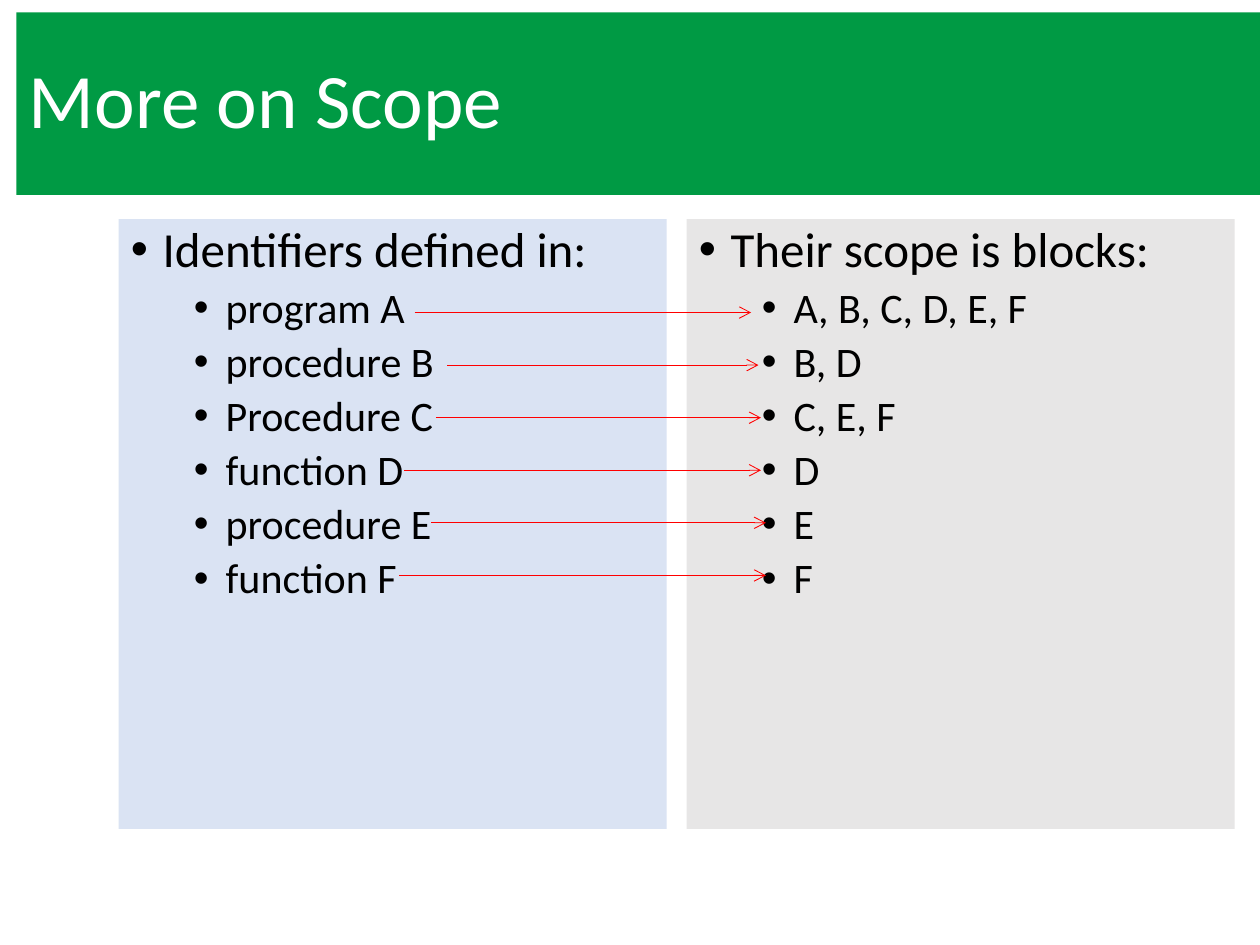
from dataclasses import dataclass
from typing import Any

from lxml.etree import SubElement
from pptx import Presentation
from pptx.dml.color import RGBColor
from pptx.enum.shapes import MSO_CONNECTOR
from pptx.enum.text import MSO_ANCHOR, MSO_AUTO_SIZE, PP_ALIGN
from pptx.oxml.ns import qn
from pptx.util import Cm, Pt


@dataclass(frozen=True)
class Theme:
    font: str = "Calibri"
    green: str = "009A44"
    blue: str = "DAE3F3"
    gray: str = "E7E6E6"
    red: str = "FF0000"
    black: str = "000000"
    white: str = "FFFFFF"
    title: int = 44
    head: int = 28
    item: int = 24
    line: float = 0.5


@dataclass(frozen=True)
class Panel:
    left: float
    fill: str
    head: str
    items: tuple[str, ...]


@dataclass(frozen=True)
class Arrow:
    start: float
    end: float


THEME = Theme()
PANELS = (
    Panel(2.39, THEME.blue, "Identifiers defined in:",
          ("program A", "procedure B", "Procedure C",
           "function D", "procedure E", "function F")),
    Panel(13.84, THEME.gray, "Their scope is blocks:",
          ("A, B, C, D, E, F", "B, D", "C, E, F", "D", "E", "F")),
)
ARROWS = (
    Arrow(8.36, 15.14), Arrow(9.02, 15.29), Arrow(8.79, 15.34),
    Arrow(8.15, 15.34), Arrow(8.69, 15.44), Arrow(8.05, 15.44),
)
TOP, STEP = 6.3, 1.06


def apply(target: Any, values: dict[str, Any]) -> None:
    for name, value in values.items():
        setattr(target, name, value)


def place(shape: Any, left: float, top: float, width: float, height: float) -> None:
    apply(shape, {"left": Cm(left), "top": Cm(top),
                  "width": Cm(width), "height": Cm(height)})


def paint(shape: Any, color: str) -> None:
    shape.fill.solid()
    shape.fill.fore_color.rgb = RGBColor.from_string(color)


def write(para: Any, text: str, size: int, color: str) -> None:
    run = para.add_run()
    run.text = text
    apply(run.font, {"name": THEME.font, "size": Pt(size)})
    run.font.color.rgb = RGBColor.from_string(color)


def add_point(para: Any, text: str, level: int) -> None:
    size, space, margin = ((THEME.head, 10, 0.64), (THEME.item, 5, 1.91))[level]
    apply(para, {"level": level, "line_spacing": 0.9, "space_before": Pt(space)})
    write(para, text, size, THEME.black)
    props = para._p.get_or_add_pPr()
    props.set("marL", str(Cm(margin)))
    props.set("indent", str(-Cm(0.64)))
    SubElement(props, qn("a:buFont"), typeface="Arial")
    SubElement(props, qn("a:buChar"), char="•")


def add_title(slide: Any, text: str) -> None:
    title = slide.shapes.title
    place(title, 0.33, 0.25, 25.07, 3.68)
    paint(title, THEME.green)
    frame = title.text_frame
    apply(frame, {"vertical_anchor": MSO_ANCHOR.MIDDLE, "word_wrap": True,
                  "auto_size": MSO_AUTO_SIZE.NONE})
    para = frame.paragraphs[0]
    apply(para, {"alignment": PP_ALIGN.LEFT, "line_spacing": 0.9})
    write(para, text, THEME.title, THEME.white)


def add_panel(slide: Any, panel: Panel) -> None:
    box = slide.shapes.add_textbox(0, 0, 0, 0)
    place(box, panel.left, 4.42, 11.05, 12.29)
    paint(box, panel.fill)
    frame = box.text_frame
    apply(frame, {"word_wrap": True, "auto_size": MSO_AUTO_SIZE.NONE})
    add_point(frame.paragraphs[0], panel.head, 0)
    for item in panel.items:
        add_point(frame.add_paragraph(), item, 1)


def add_arrow(slide: Any, arrow: Arrow, height: float) -> None:
    link = slide.shapes.add_connector(
        MSO_CONNECTOR.STRAIGHT,
        Cm(arrow.start), Cm(height), Cm(arrow.end), Cm(height))
    link.line.width = Pt(THEME.line)
    link.line.color.rgb = RGBColor.from_string(THEME.red)
    SubElement(link.line._get_or_add_ln(), qn("a:tailEnd"), type="arrow")
    SubElement(link._element.spPr, qn("a:effectLst"))


def main() -> None:
    deck = Presentation()
    apply(deck, {"slide_width": Cm(25.4), "slide_height": Cm(19.05)})
    slide = deck.slides.add_slide(deck.slide_layouts[5])
    add_title(slide, "More on Scope")
    for panel in PANELS:
        add_panel(slide, panel)
    for row, arrow in enumerate(ARROWS):
        add_arrow(slide, arrow, TOP + row * STEP)
    deck.save("out.pptx")


if __name__ == "__main__":
    main()
